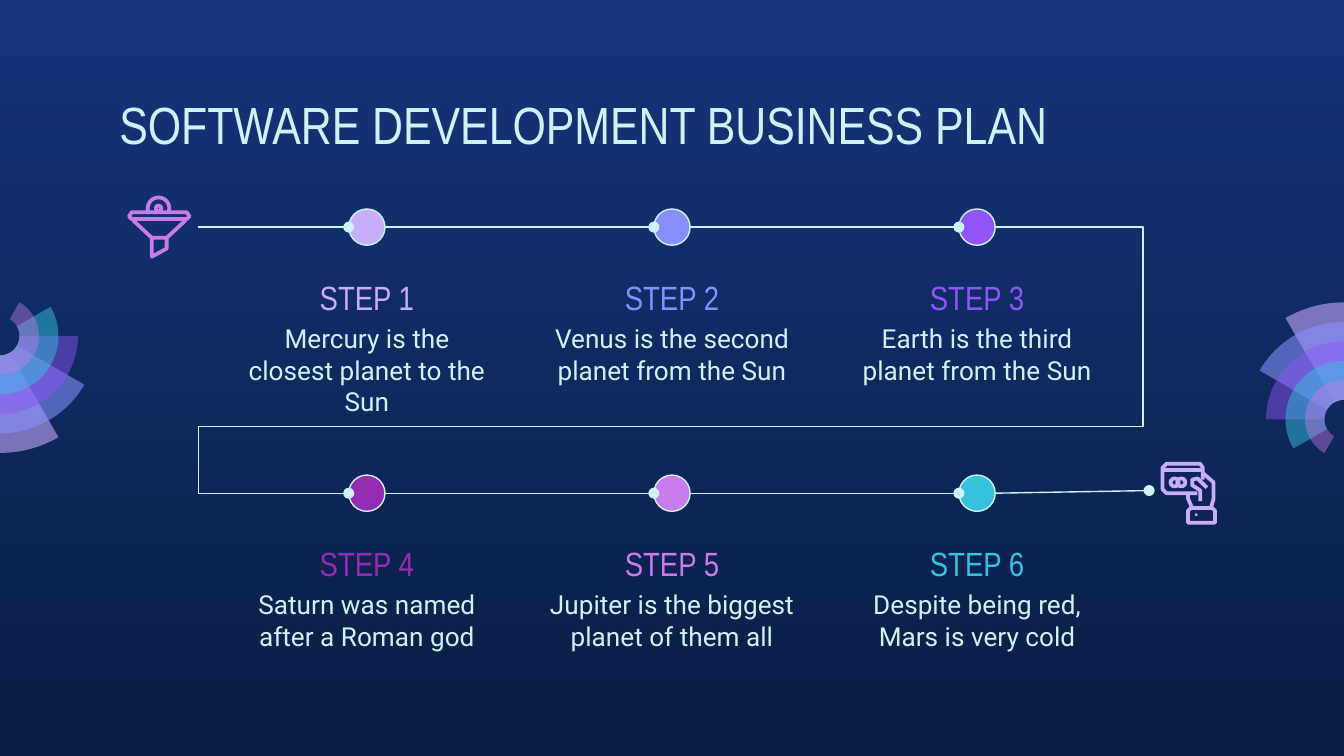
from math import cos, radians, sin
from lxml import etree
from pptx import Presentation
from pptx.dml.color import RGBColor
from pptx.enum.shapes import MSO_CONNECTOR, MSO_SHAPE
from pptx.enum.text import MSO_ANCHOR, PP_ALIGN
from pptx.oxml.ns import qn
from pptx.util import Inches, Pt

OVAL = MSO_SHAPE.OVAL
LINE, ELBOW = MSO_CONNECTOR.STRAIGHT, MSO_CONNECTOR.ELBOW
TOP, BOTTOM = MSO_ANCHOR.TOP, MSO_ANCHOR.BOTTOM
LEFT, CENTER = PP_ALIGN.LEFT, PP_ALIGN.CENTER

WIDE = 10
HIGH = WIDE * 9 / 16
PALE, LILAC, PINK = "CEF3F5", "C8AEF8", "CA7BEB"
HEAD, BODY = "Arial Narrow", "Roboto"
TITLE = "SOFTWARE DEVELOPMENT BUSINESS PLAN"
STEPS = [
    ("STEP 1", "Mercury is the closest planet to the Sun", LILAC),
    ("STEP 2", "Venus is the second planet from the Sun", "878FFF"),
    ("STEP 3", "Earth is the third planet from the Sun", "9154F8"),
    ("STEP 4", "Saturn was named after a Roman god", "972CB4"),
    ("STEP 5", "Jupiter is the biggest planet of them all", PINK),
    ("STEP 6", "Despite being red, Mars is very cold", "35C2DF"),
]
BANDS = [("C8ACFD", 58), ("878FFF", 58), ("9154F8", 46), ("35C2DF", 49), (PINK, 42)]
FANS = [(WIDE, 3.12, 180), (0, 2.5, 0)]
RING = 0.87 / 6
COLS, PITCH, MID = 3, 2.27, 5
ROW, DROP = 1.69, 1.98
DOT, BOX = 0.27, 2.09
START, FINISH = 1.47, (8.55, 3.65)
BENDS = (-22900, 74900, 123200)

FUNNEL = [
    ([(0.98, 1.58), (1.39, 1.58), (1.41, 1.61), (1.39, 1.63), (0.98, 1.63), (0.96, 1.61)], True),
    ([(0.99, 1.64), (1.13, 1.77), (1.24, 1.77), (1.38, 1.64)], False),
    ([(1.13, 1.77), (1.13, 1.91), (1.24, 1.85), (1.24, 1.77)], False),
]
CARD = [
    ([(8.95, 3.57), (8.95, 3.48), (8.93, 3.45), (8.68, 3.45), (8.65, 3.48),
      (8.65, 3.64), (8.68, 3.67), (8.91, 3.67)], False),
    ([(8.65, 3.5), (8.95, 3.5)], False),
    ([(8.95, 3.52), (9.03, 3.59), (9.03, 3.71), (9.01, 3.78)], False),
    ([(8.84, 3.67), (8.84, 3.71), (8.87, 3.78)], False),
    ([(8.93, 3.73), (8.93, 3.65), (8.87, 3.61), (8.87, 3.57), (8.91, 3.56), (8.98, 3.63)], False),
    ([(8.86, 3.78), (9.02, 3.78), (9.04, 3.8), (9.04, 3.89), (8.84, 3.89), (8.84, 3.8)], True),
]
RINGS = [(1.18, 1.55, 0.02, PINK), (8.74, 3.59, 0.03, LILAC), (8.79, 3.59, 0.03, LILAC)]


def rgb(code):
    """Turn a hex string into a colour."""
    return RGBColor.from_string(code)


def paint(shape, fill=None, line=None, width=0.75):
    """Set fill and outline, and drop the shadow."""
    shape.shadow.inherit = False
    if fill:
        shape.fill.solid()
        shape.fill.fore_color.rgb = rgb(fill)
    else:
        shape.fill.background()
    if line:
        shape.line.color.rgb = rgb(line)
        shape.line.width = Pt(width)
    else:
        shape.line.fill.background()


def arc(x, y, r, a, b):
    """Give points along an arc, clockwise from a to b degrees."""
    turns = [radians(a + (b - a) * i / 24) for i in range(25)]
    return [(x + r * cos(t), y + r * sin(t)) for t in turns]


def trace(shapes, spots, close=True):
    """Draw a freeform through the points."""
    spots = [(Inches(x), Inches(y)) for x, y in spots]
    form = shapes.build_freeform(*spots[0])
    form.add_line_segments(spots[1:], close=close)
    return form.convert_to_shape()


def disc(shapes, x, y, r, fill, line, width=0.75):
    """Draw a circle about its centre."""
    spot = shapes.add_shape(OVAL, *map(Inches, (x - r, y - r, 2 * r, 2 * r)))
    paint(spot, fill, line, width)


def write(shapes, place, text, font, size, color, align=CENTER, anchor=TOP):
    """Add a text box with one run."""
    box = shapes.add_textbox(*map(Inches, place))
    frame = box.text_frame
    frame.word_wrap = True
    frame.vertical_anchor = anchor
    frame.margin_left = frame.margin_right = Inches(0.1)
    frame.margin_top = frame.margin_bottom = Inches(0.1)
    para = frame.paragraphs[0]
    para.alignment = align
    run = para.add_run()
    run.text = text
    run.font.name, run.font.size = font, Pt(size)
    run.font.color.rgb = rgb(color)


def link(shapes, start, end, kind=LINE):
    """Join two points with a line that ends in a dot."""
    wire = shapes.add_connector(kind, *map(Inches, (*start, *end)))
    wire.line.color.rgb = rgb(PALE)
    wire.line.width = Pt(0.75)
    props = wire._element.spPr
    etree.SubElement(props.find(qn("a:ln")), qn("a:tailEnd"), type="oval")
    etree.SubElement(props, qn("a:effectLst"))
    return wire


def bend(wire):
    """Give an elbow line its five legs."""
    geom = wire._element.spPr.find(qn("a:prstGeom"))
    geom.set("prst", "bentConnector5")
    guides = geom.find(qn("a:avLst"))
    for i, value in enumerate(BENDS, 1):
        etree.SubElement(guides, qn("a:gd"), name=f"adj{i}", fmla=f"val {value}")


def fan(shapes, x, y, turn):
    """Draw the clear ring bands at one edge of the slide."""
    for i, (color, alpha) in enumerate(BANDS):
        a, b = turn + 90, turn + 60 - 30 * i
        edge = arc(x, y, RING * (6 - i), a, b) + arc(x, y, RING, b, a)
        band = trace(shapes, edge)
        paint(band, color)
        tone = band._element.spPr.find(qn("a:solidFill"))[0]
        etree.SubElement(tone, qn("a:alpha"), val=str(alpha * 1000))


def main():
    """Build and save the slide."""
    deck = Presentation()
    deck.slide_width, deck.slide_height = Inches(WIDE), Inches(HIGH)
    slide = deck.slides.add_slide(deck.slide_layouts[6])
    shapes = slide.shapes
    back = slide.background.fill
    back.gradient()
    back.gradient_angle = 270
    for stop, color in zip(back.gradient_stops, ("13367C", "0A1D42")):
        stop.color.rgb = rgb(color)
    for place in FANS:
        fan(shapes, *place)
    write(shapes, (0.79, 0.59, 8.43, 0.63), TITLE, HEAD, 28, PALE, LEFT)

    half = DOT / 2
    mids = [MID + PITCH * (i - 1) for i in range(COLS)]
    rows = [ROW, ROW + DROP]
    for i, (name, text, color) in enumerate(STEPS):
        x, y = mids[i % COLS], rows[i // COLS]
        left = x - BOX / 2
        write(shapes, (left, y + 0.25, BOX, 0.52), name, HEAD, 18, color, anchor=BOTTOM)
        write(shapes, (left, y + 0.61, BOX, 0.69), text, BODY, 14, PALE)
        disc(shapes, x, y, half, color, PALE)
    for y in rows:
        for a, b in zip(mids, mids[1:]):
            link(shapes, (a + half, y), (b - half, y))
    first, last = mids[0] - half, mids[-1] + half
    bend(link(shapes, (last, rows[0]), (first, rows[1]), ELBOW))
    link(shapes, (START, rows[0]), (first, rows[0]))
    link(shapes, (last, rows[1]), FINISH)

    dome = (arc(1.18, 1.55, 0.08, 165, 375), False)
    for color, parts in ((PINK, FUNNEL + [dome]), (LILAC, CARD)):
        for spots, close in parts:
            paint(trace(shapes, spots, close), None, color, 2)
    for x, y, r, color in RINGS:
        disc(shapes, x, y, r, None, color, 2)
    disc(shapes, 8.9, 3.83, 0.01, LILAC, None)
    deck.save("out.pptx")


if __name__ == "__main__":
    main()
